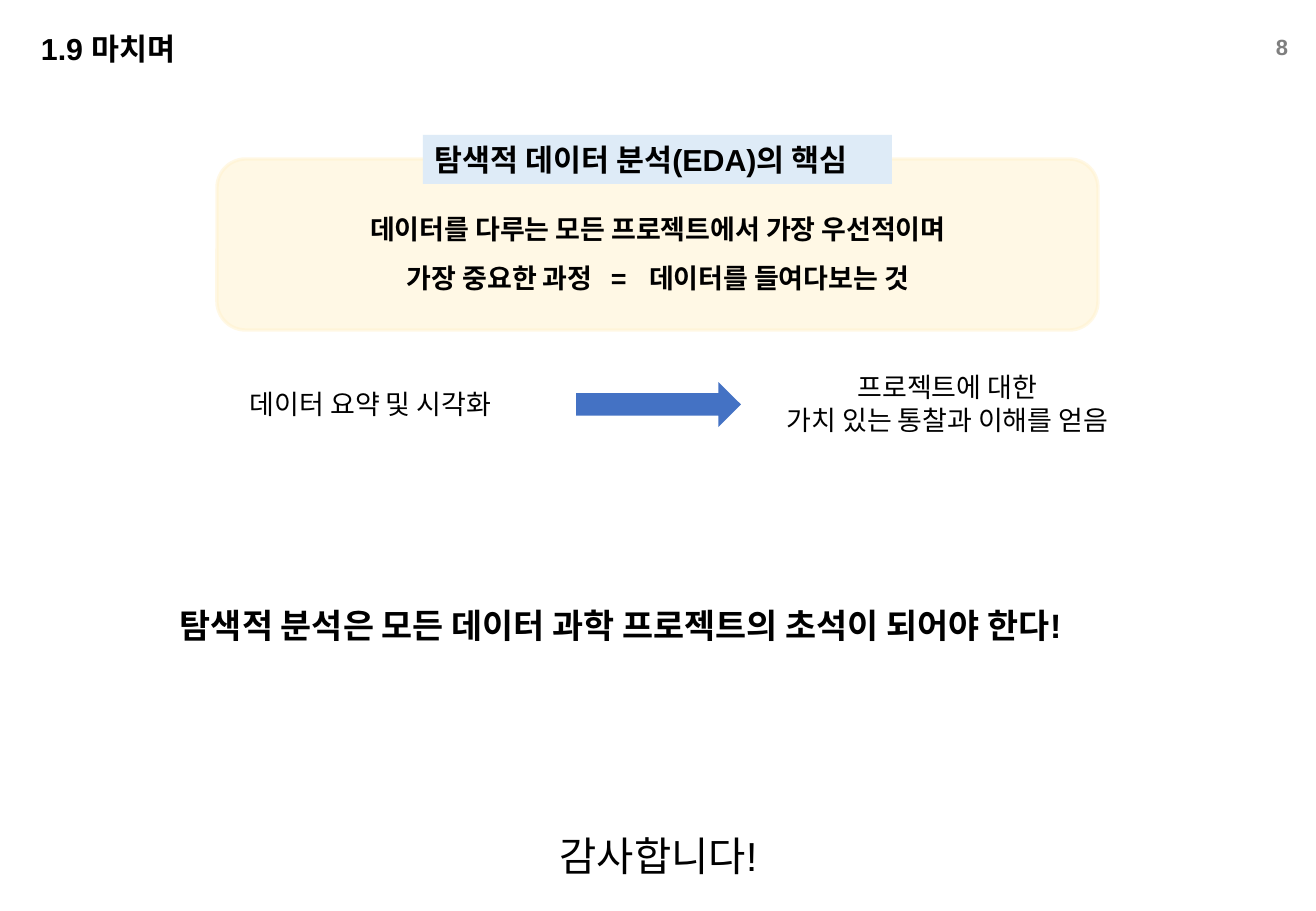
from dataclasses import dataclass

from lxml.etree import SubElement
from pptx import Presentation
from pptx.dml.color import RGBColor
from pptx.enum.shapes import MSO_SHAPE as Shape
from pptx.enum.text import MSO_ANCHOR as Anchor, PP_ALIGN as Align
from pptx.oxml.ns import qn
from pptx.util import Emu, Pt

PX = 7526  # EMU in one px
PAGE_SIZE = (1316, 911)


@dataclass(frozen=True)
class Theme:
    font: str = "Arial"
    ink: str = "000000"
    muted: str = "7F7F7F"
    panel: str = "FFF2CC"
    label: str = "DEEBF7"
    arrow: str = "4472C4"
    number: int = 13
    body: int = 16
    heading: int = 18
    claim: int = 20
    thanks: int = 24
    panel_opacity: int = 50


THEME = Theme()

# Places are left, top, width, height in px.
PANEL = (217, 159, 881, 171)
LABEL = (423, 135, 469, 49)
ARROW = (576, 382, 165, 45)
LABEL_TEXT = ["탐색적 데이터 분석(EDA)의 핵심"]

TEXTS = [
    dict(place=(29, 24, 548, 49), lines=["1.9 마치며"],
         size=THEME.heading, bold=True),
    dict(place=(1230, 27, 70, 39), lines=["8"], size=THEME.number, bold=True,
         color=THEME.muted, align=Align.RIGHT, anchor=Anchor.MIDDLE),
    dict(place=(283, 193, 750, 104),
         lines=["데이터를 다루는 모든 프로젝트에서 가장 우선적이며",
                "가장 중요한 과정   =   데이터를 들여다보는 것"],
         size=THEME.body, bold=True, align=Align.CENTER,
         anchor=Anchor.MIDDLE, spacing=1.5),
    dict(place=(238, 382, 293, 45), lines=["데이터 요약 및 시각화"],
         size=THEME.body),
    dict(place=(758, 365, 379, 78),
         lines=["프로젝트에 대한", "가치 있는 통찰과 이해를 얻음"],
         size=THEME.body, align=Align.CENTER),
    dict(place=(168, 599, 994, 53),
         lines=["탐색적 분석은 모든 데이터 과학 프로젝트의 초석이 되어야 한다!"],
         size=THEME.claim, bold=True),
    dict(place=(300, 825, 717, 86), lines=["감사합니다!"],
         size=THEME.thanks, align=Align.CENTER),
]


def to_emu(lengths):
    return [Emu(length * PX) for length in lengths]


def paint(fill, color, opacity=100):
    fill.solid()
    fill.fore_color.rgb = RGBColor.from_string(color)
    if opacity < 100:
        for node in fill._xPr.iter(qn("a:srgbClr")):
            if node.find(qn("a:alpha")) is None:
                SubElement(node, qn("a:alpha"), val=str(opacity * 1000))


def write(box, lines, size, bold=False, color=THEME.ink, align=Align.LEFT,
          anchor=Anchor.TOP, spacing=None):
    frame = box.text_frame
    frame.word_wrap = True
    frame.vertical_anchor = anchor
    frame.text = "\n".join(lines)
    for para in frame.paragraphs:
        para.alignment = align
        para.line_spacing = spacing
        for span in para.runs:
            span.font.name = THEME.font
            span.font.size = Pt(size)
            span.font.bold = bold
            span.font.color.rgb = RGBColor.from_string(color)


def add_filled(page, kind, place, color, opacity=100):
    shape = page.shapes.add_shape(kind, *to_emu(place))
    shape.shadow.inherit = False
    shape.line.fill.background()
    paint(shape.fill, color, opacity)
    return shape


def add_text(page, place, **style):
    write(page.shapes.add_textbox(*to_emu(place)), **style)


def main():
    deck = Presentation()
    deck.slide_width, deck.slide_height = to_emu(PAGE_SIZE)
    page = deck.slides.add_slide(deck.slide_layouts[6])

    panel = add_filled(page, Shape.ROUNDED_RECTANGLE, PANEL, THEME.panel,
                       THEME.panel_opacity)
    paint(panel.line.fill, THEME.panel, THEME.panel_opacity)
    panel.line.width = Pt(2)

    label = add_filled(page, Shape.RECTANGLE, LABEL, THEME.label)
    write(label, LABEL_TEXT, THEME.heading, bold=True)

    add_filled(page, Shape.RIGHT_ARROW, ARROW, THEME.arrow)

    for text in TEXTS:
        add_text(page, **text)

    deck.save("out.pptx")


if __name__ == "__main__":
    main()
